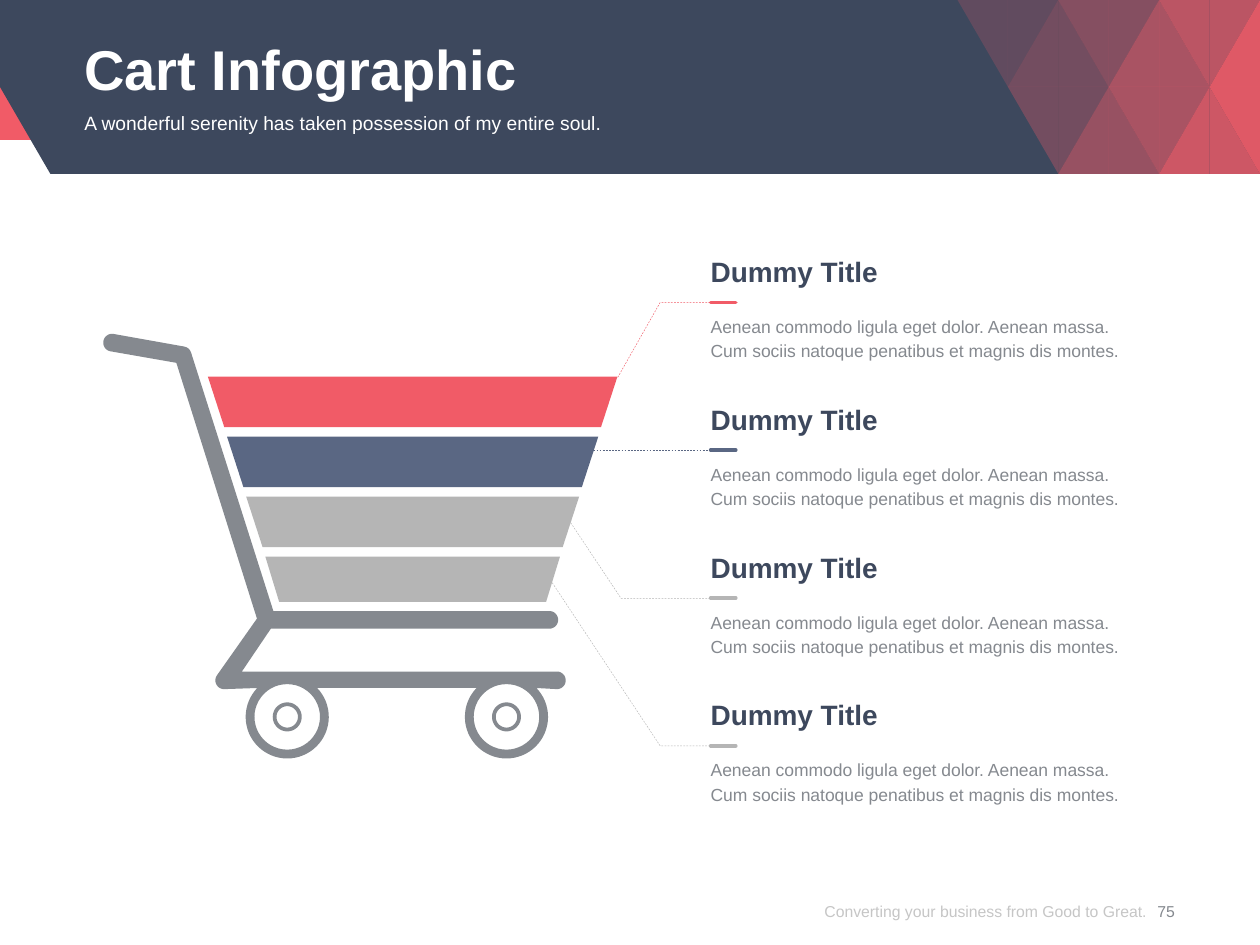
from math import cos, radians, sin

from lxml import etree
from pptx import Presentation, util as u
from pptx.dml.color import RGBColor
from pptx.enum import dml, shapes, text
from pptx.oxml.ns import qn

HEX = {"red": "F15B67", "navy": "3D485D", "blue": "5A6783", "silver": "B5B5B5",
       "gray": "85898F", "pale": "C6C6C6", "white": "FFFFFF"}
RGB = {name: RGBColor.from_string(code) for name, code in HEX.items()}

deck = Presentation()
deck.slide_width, deck.slide_height = u.Inches(10), u.Inches(7.5)
slide = deck.slides.add_slide(deck.slide_layouts[6])
parts = slide.shapes


def trace(paths, hue, alpha=None, leader=False):
    """Draw contours, given in inches, as one filled shape or an open dashed line."""
    paths = [[(u.Inches(x), u.Inches(y)) for x, y in path] for path in paths]
    pen = parts.build_freeform(*paths[0][0], scale=1.0)
    for i, path in enumerate(paths):
        if i:
            pen.move_to(*path[0])
        pen.add_line_segments(path[1:], close=not leader)
    form = pen.convert_to_shape()
    form.shadow.inherit = False
    if leader:
        form.fill.background()
        form.line.color.rgb = RGB[hue]
        form.line.width = u.Pt(0.25)
        form.line.dash_style = dml.MSO_LINE.DASH
        return
    form.fill.solid()
    form.fill.fore_color.rgb = RGB[hue]
    form.line.fill.background()
    if alpha:
        color = form._element.spPr.find(".//" + qn("a:srgbClr"))
        etree.SubElement(color, qn("a:alpha")).set("val", str(alpha * 1000))


def write(box, lines, hue, size, bold=False, lead=None, align="LEFT", anchor="TOP"):
    """Add a text box without margins, one paragraph a line."""
    frame = parts.add_textbox(*[u.Inches(n) for n in box]).text_frame
    look = {"margin_left": 0, "margin_right": 0, "margin_top": 0, "margin_bottom": 0,
            "word_wrap": True, "vertical_anchor": getattr(text.MSO_ANCHOR, anchor)}
    for key, val in look.items():
        setattr(frame, key, val)
    for i, line in enumerate(lines):
        para = frame.add_paragraph() if i else frame.paragraphs[0]
        para.alignment = getattr(text.PP_ALIGN, align)
        if lead:
            para.line_spacing = u.Pt(lead)
        run = para.add_run()
        run.text = line
        for key, val in {"name": "Arial", "size": u.Pt(size), "bold": bold}.items():
            setattr(run.font, key, val)
        run.font.color.rgb = RGB[hue]


# Header band
band = parts.add_shape(shapes.MSO_SHAPE.RECTANGLE, 0, 0, u.Inches(10), u.Inches(1.11))
band.shadow.inherit = False
band.fill.solid()
band.fill.fore_color.rgb = RGB["red"]
band.line.fill.background()
trace([[(0, 0), (10, 0), (10, 1.38), (0.4, 1.38), (0, 0.69)]], "navy")

# Header triangles, in halves: column of the apex, apex y, base y, opacity
STEP, ROW = 0.4, 0.69
TILES = [(2, 2, 1, 30), (2, 0, 1, 30), (3, 1, 0, 40), (5, 1, 0, 70),
         (3, 1, 2, 50), (1, 1, 0, 20), (5, 1, 2, 80), (4, 0, 1, 60),
         (4, 2, 1, 60), (6, 0, 1, 90), (6, 2, 1, 90)]
for col, apex, base, alpha in TILES:
    mid = 10 - STEP * (6 - col)
    for side in (-STEP, STEP):
        if mid + side <= 10.01:
            trace([[(mid, apex * ROW), (mid, base * ROW), (mid + side, base * ROW)]],
                  "red", alpha)

# Header and footer text
write((0.67, 0.19, 8.66, 0.65), ["Cart Infographic"], "white", 32, True, 42,
      anchor="MIDDLE")
write((0.67, 0.88, 8.66, 0.39),
      ["A wonderful serenity has taken possession of my entire soul."], "white", 11)
write((6.04, 6.96, 3.06, 0.54), ["Converting your business from Good to Great."],
      "pale", 9, align="RIGHT", anchor="MIDDLE")
write((9.02, 6.96, 0.47, 0.54), ["75"], "gray", 9, align="CENTER", anchor="MIDDLE")

# Bent leaders
LEADS = [("red", [(5.81, 2.4), (5.24, 2.4), (4.9, 3)]),
         ("silver", [(5.81, 4.75), (4.93, 4.75), (4.53, 4.15)]),
         ("silver", [(5.81, 5.92), (5.24, 5.92), (4.38, 4.62)])]
for hue, path in LEADS:
    trace([path], hue, leader=True)

# Cart load
HUES = ["red", "blue", "silver", "silver"]
for i, hue in enumerate(HUES):
    top, left, right = 2.99 + 0.476 * i, 1.65 + 0.152 * i, 4.9 - 0.152 * i
    tall, slant = (0.36, 0.11) if i == 3 else (0.4, 0.13)
    trace([[(left, top), (right, top), (right - slant, top + tall),
            (left + slant, top + tall)]], hue)

# Cart frame and wheels: arcs as centre, radius, start and end angle; radius 0 is a corner
HUBS = [(2.28, 5.69), (4.02, 5.69)]
FRAME = [(1.92, 5.33, 0, 0, 0), (2.15, 4.99, 0, 0, 0), (4.36, 4.92, 0.07, 90, -90),
         (2.17, 4.85, 0, 0, 0), (1.45, 2.82, 0.07, -17, -80),
         (0.89, 2.72, 0.07, -80, -260), (1.4, 2.88, 0, 0, 0), (2.04, 4.91, 0, 0, 0),
         (1.78, 5.4, 0.07, 215, 90), *[(x, y, 0.33, 224, -44) for x, y in HUBS],
         (4.42, 5.4, 0.07, 90, -90)]
RINGS = [[(x, y, r, 0, 360)] for x, y in HUBS for r in (0.26, 0.115, 0.085)]
paths = []
for arcs in [FRAME] + RINGS:
    path = []
    for x, y, r, a, b in arcs:
        count = 48 if r else 1
        turns = [radians(a + (b - a) * n / count) for n in range(count + 1 if r else 1)]
        path += [(x + r * cos(t), y + r * sin(t)) for t in turns]
    paths.append(path)
trace(paths, "gray")

# Entries
RULES = [(4.71, 5.81, 3.57, "blue", 0.25)]
for i, hue in enumerate(HUES):
    y = 2.4 + 1.173 * i
    RULES.append((5.64, 5.84, y, hue, 2))
    write((5.64, y - 0.38, 3.69, 0.27), ["Dummy Title"], "navy", 16, True)
    write((5.64, y + 0.08, 3.69, 0.39),
          ["Aenean commodo ligula eget dolor. Aenean massa.",
           "Cum sociis natoque penatibus et magnis dis montes."], "gray", 10, lead=14)

# Straight leader and accent rules
for left, right, y, hue, width in RULES:
    rule = parts.add_connector(shapes.MSO_CONNECTOR.STRAIGHT, u.Inches(left), u.Inches(y),
                               u.Inches(right), u.Inches(y))
    rule.line.color.rgb = RGB[hue]
    rule.line.width = u.Pt(width)
    if width < 1:
        rule.line.dash_style = dml.MSO_LINE.DASH
    else:
        rule._element.spPr.find(qn("a:ln")).set("cap", "rnd")
    etree.SubElement(rule._element.spPr, qn("a:effectLst"))

deck.save("out.pptx")
